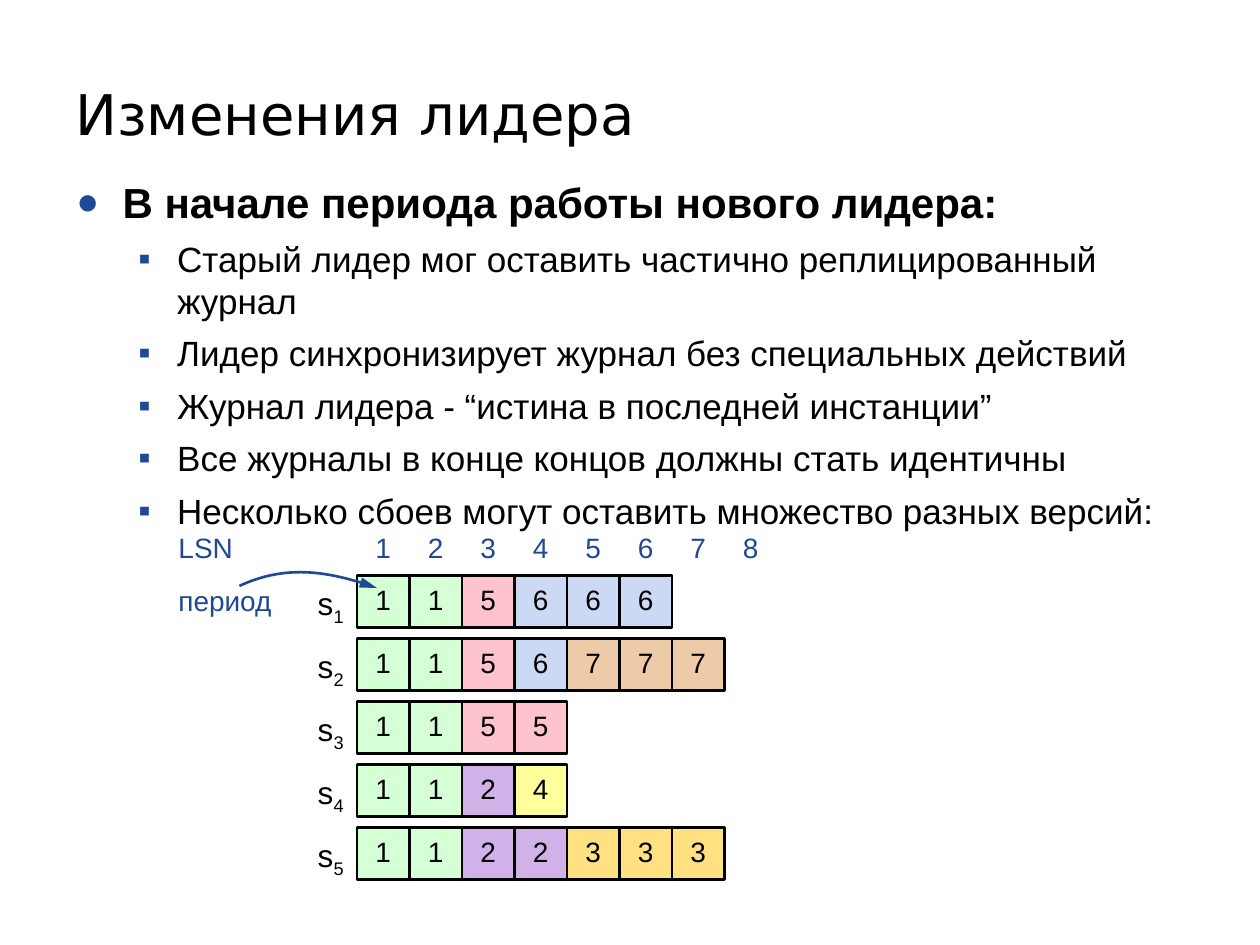
from lxml.etree import SubElement
from pptx import Presentation
from pptx.dml.color import RGBColor
from pptx.enum.shapes import MSO_SHAPE as Shape
from pptx.enum.text import MSO_ANCHOR as Anchor, MSO_AUTO_SIZE as AutoSize, PP_ALIGN as Align
from pptx.oxml.ns import qn
from pptx.util import Pt

SCALE = 7620
BLUE, BLACK = "1F4899", "000000"
CELL, ROW_STEP = 50, 60
LOG_LEFT, LOG_TOP = 340, 548
LSN_COUNT = 8
PERIOD_COLORS = {
    1: "D5FFD5", 2: "D1B2E8", 3: "FFE181", 4: "FFFF9B",
    5: "FFC3CE", 6: "CCD9F4", 7: "EECBA8",
}
LOGS = [
    [1, 1, 5, 6, 6, 6],
    [1, 1, 5, 6, 7, 7, 7],
    [1, 1, 5, 5],
    [1, 1, 2, 4],
    [1, 1, 2, 2, 3, 3, 3],
]
HEADLINE = "В начале периода работы нового лидера:"
POINTS = [
    "Старый лидер мог оставить частично реплицированный журнал",
    "Лидер синхронизирует журнал без специальных действий",
    "Журнал лидера - “истина в последней инстанции”",
    "Все журналы в конце концов должны стать идентичны",
    "Несколько сбоев могут оставить множество разных версий:",
]
HEADLINE_STYLE = {"char": "●", "percent": 90, "margin": 45, "indent": -44,
                  "size": 24, "bold": True, "before": 12, "line": 30}
POINT_STYLE = {"char": "▪", "percent": 100, "margin": 97, "indent": -37,
               "size": 20, "bold": False, "before": 6, "line": 24}


def px(length):
    """Turn pixels into EMU."""
    return length * SCALE


def color(code):
    """Turn a hex string into a colour."""
    return RGBColor.from_string(code)


def apply(target, values):
    """Set attributes from a dict of format values."""
    for name, value in values.items():
        setattr(target, name, value)


def format_frame(frame, inset=(0, 0), **values):
    """Set the insets, wrapping and other values of a text frame."""
    across, down = map(px, inset)
    apply(frame, {"margin_left": across, "margin_right": across,
                  "margin_top": down, "margin_bottom": down,
                  "word_wrap": True, **values})


def add_span(para, text, size, code=BLACK, font="Arial", bold=False):
    """Add a formatted run to a paragraph."""
    span = para.add_run()
    span.text = text
    apply(span.font, {"size": Pt(size), "name": font, "bold": bold})
    span.font.color.rgb = color(code)
    return span


def add_box(page, area, **values):
    """Add an empty text box and return its text frame."""
    frame = page.shapes.add_textbox(*map(px, area)).text_frame
    format_frame(frame, **values)
    return frame


def add_label(page, area, text, align=Align.LEFT, inset=(0, 0)):
    """Add a blue label."""
    frame = add_box(page, area, inset=inset, auto_size=AutoSize.SHAPE_TO_FIT_TEXT)
    para = frame.paragraphs[0]
    para.alignment = align
    add_span(para, text, 16, BLUE)


def add_server(page, area, number):
    """Add a server name with a subscript number."""
    frame = add_box(page, area, auto_size=AutoSize.SHAPE_TO_FIT_TEXT)
    para = frame.paragraphs[0]
    para.alignment = Align.CENTER
    add_span(para, "s", 18)
    add_span(para, str(number), 18)._r.get_or_add_rPr().set("baseline", "-25000")


def add_cell(page, left, top, period):
    """Add a log entry coloured by its period."""
    cell = page.shapes.add_shape(Shape.RECTANGLE, *map(px, (left, top, CELL, CELL)))
    cell.shadow.inherit = False
    cell.fill.solid()
    cell.fill.fore_color.rgb = color(PERIOD_COLORS[period])
    cell.line.color.rgb = color(BLACK)
    cell.line.width = Pt(1.5)
    format_frame(cell.text_frame, vertical_anchor=Anchor.MIDDLE)
    para = cell.text_frame.paragraphs[0]
    apply(para, {"alignment": Align.CENTER, "line_spacing": Pt(17)})
    add_span(para, str(period), 16)


def add_bullet(para, text, style):
    """Fill a paragraph as a bulleted line."""
    apply(para, {"space_before": Pt(style["before"]), "line_spacing": Pt(style["line"])})
    props = para._p.get_or_add_pPr()
    props.set("marL", str(px(style["margin"])))
    props.set("indent", str(px(style["indent"])))
    SubElement(SubElement(props, qn("a:buClr")), qn("a:srgbClr"), val=BLUE)
    SubElement(props, qn("a:buSzPct"), val=str(style["percent"] * 1000))
    SubElement(props, qn("a:buFont"), typeface="Arial")
    SubElement(props, qn("a:buChar"), char=style["char"])
    add_span(para, text, style["size"], bold=style["bold"])


def add_curved_arrow(page, start, *bends):
    """Add an arrow along one cubic curve."""
    builder = page.shapes.build_freeform(*start, scale=SCALE)
    builder.add_line_segments(bends, close=False)
    arrow = builder.convert_to_shape()
    arrow.shadow.inherit = False
    arrow.fill.background()
    arrow.line.color.rgb = color(BLUE)
    arrow.line.width = Pt(1.5)
    outline = next(arrow.element.iter(qn("a:path")))
    segments = outline.findall(qn("a:lnTo"))
    curve = SubElement(outline, qn("a:cubicBezTo"))
    for segment in segments:
        curve.append(segment[0])
        outline.remove(segment)
    line = arrow.element.spPr.find(qn("a:ln"))
    SubElement(line, qn("a:tailEnd"), type="triangle", w="med", len="lg")


def add_text(page):
    """Add the title and the bulleted list."""
    title = add_box(page, (60, 68, 1080, 80), inset=(12, 6), vertical_anchor=Anchor.MIDDLE)
    add_span(title.paragraphs[0], "Изменения лидера", 32, font="DejaVu Sans")
    body = add_box(page, (60, 160, 1080, 644), inset=(12, 6))
    add_bullet(body.paragraphs[0], HEADLINE, HEADLINE_STYLE)
    for point in POINTS:
        add_bullet(body.add_paragraph(), point, POINT_STYLE)


def add_logs(page):
    """Add the server logs under their LSN numbers."""
    add_label(page, (170, 505, 150, 32), "LSN")
    add_label(page, (170, 556, 100, 32), "период")
    for column in range(LSN_COUNT):
        area = (LOG_LEFT + column * CELL, 499, CELL, 44)
        add_label(page, area, str(column + 1), Align.CENTER, inset=(12, 6))
    for row, log in enumerate(LOGS):
        top = LOG_TOP + row * ROW_STEP
        add_server(page, (LOG_LEFT - CELL, top + 8, CELL, 41), row + 1)
        for column, period in enumerate(log):
            add_cell(page, LOG_LEFT + column * CELL, top, period)
    add_curved_arrow(page, (228, 558), (269, 539), (316, 544), (359, 560))


def main():
    """Build the slide and save it."""
    deck = Presentation()
    apply(deck, {"slide_width": px(1200), "slide_height": px(900)})
    page = deck.slides.add_slide(deck.slide_layouts[6])
    add_text(page)
    add_logs(page)
    deck.save("out.pptx")


if __name__ == "__main__":
    main()
